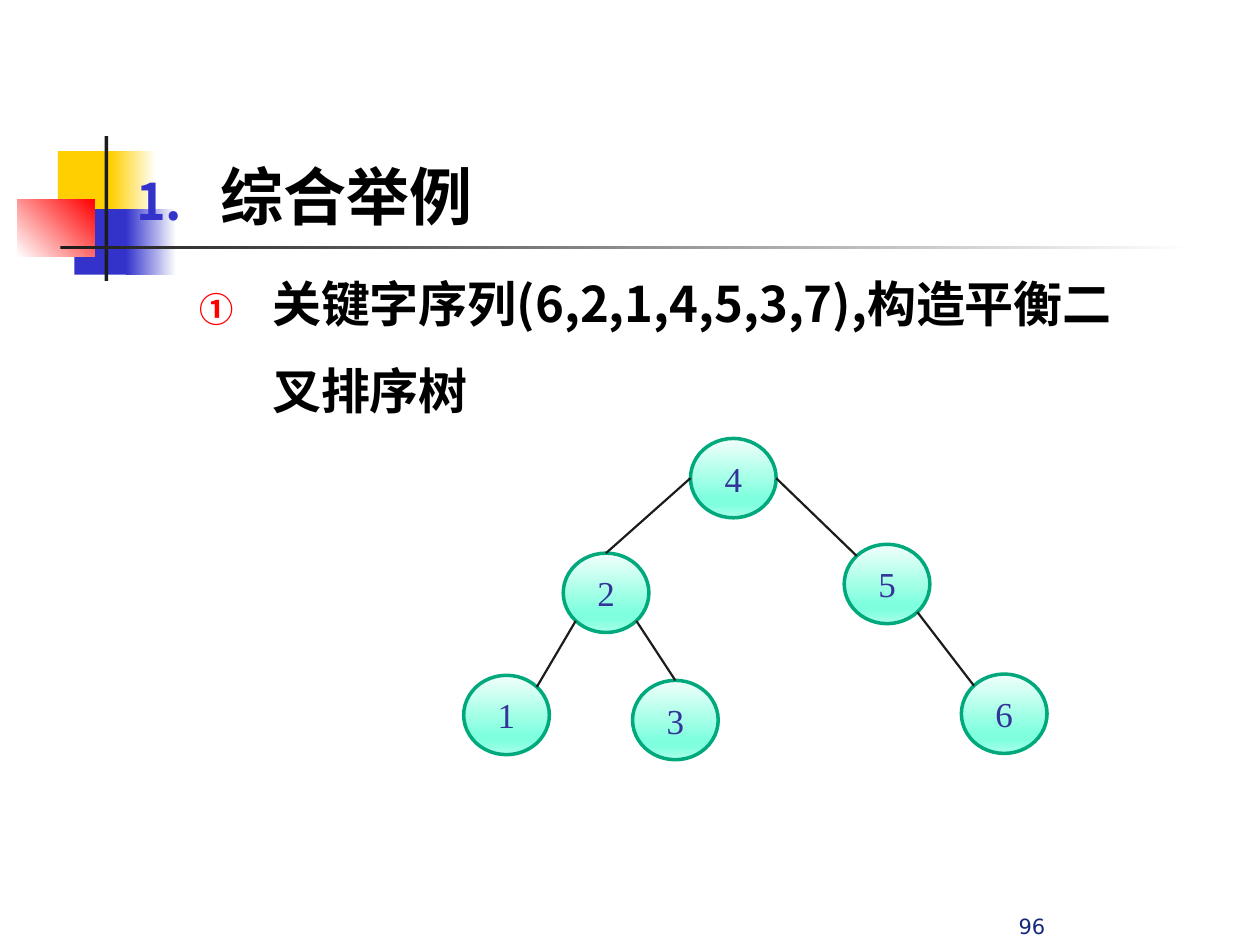
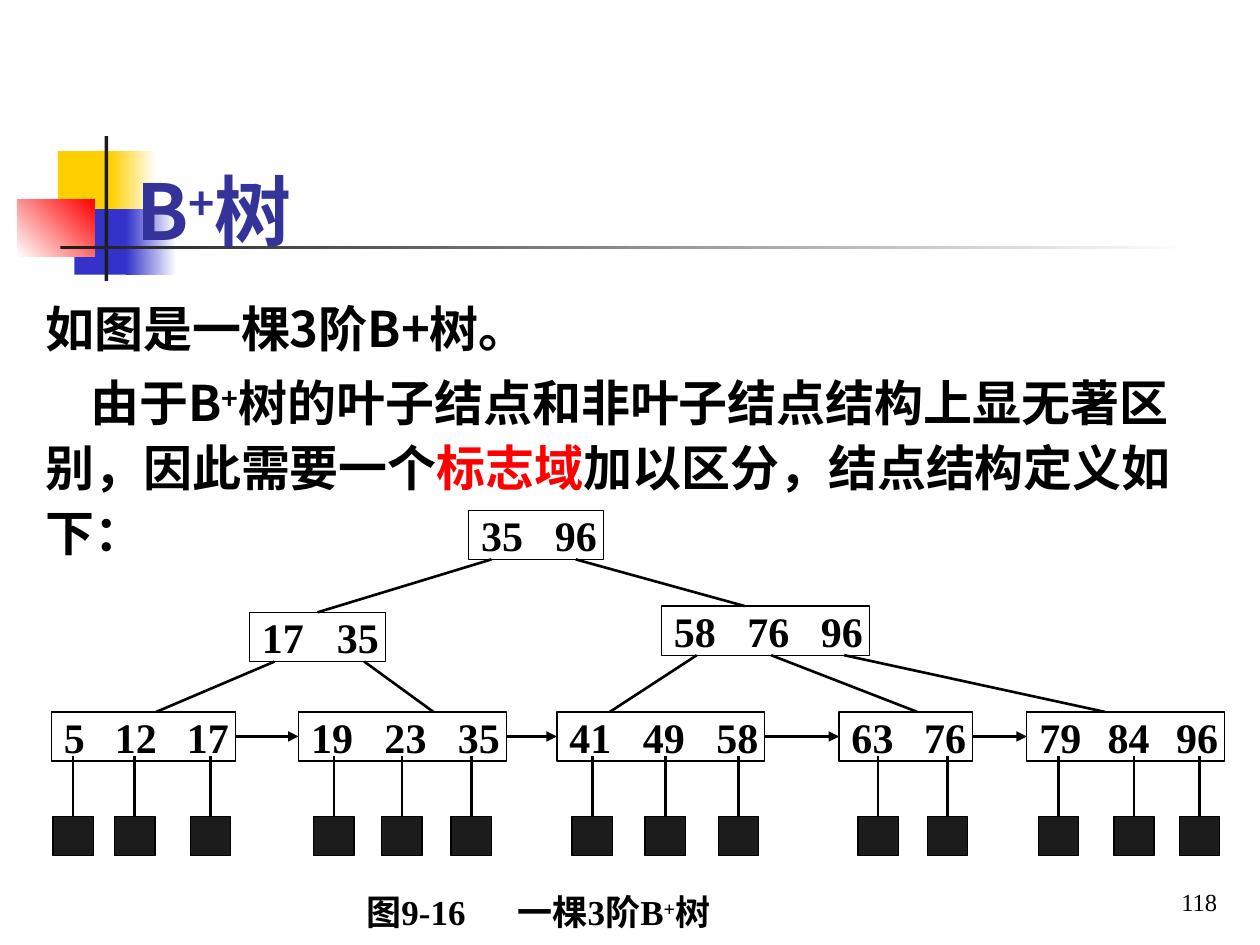
"""Build two lecture slides: a balanced search tree and a B+ tree."""
from dataclasses import dataclass
from math import cos, radians, sin
from typing import Optional

from lxml import etree
from pptx import Presentation
from pptx.dml.color import RGBColor
from pptx.enum.shapes import MSO_CONNECTOR, MSO_SHAPE
from pptx.enum.text import MSO_ANCHOR, MSO_AUTO_SIZE, PP_ALIGN
from pptx.oxml.ns import qn
from pptx.util import Inches, Pt

RECT, OVAL = MSO_SHAPE.RECTANGLE, MSO_SHAPE.OVAL
STRAIGHT = MSO_CONNECTOR.STRAIGHT
TOP, MIDDLE, BOTTOM = MSO_ANCHOR.TOP, MSO_ANCHOR.MIDDLE, MSO_ANCHOR.BOTTOM
LEFT, CENTER, RIGHT = PP_ALIGN.LEFT, PP_ALIGN.CENTER, PP_ALIGN.RIGHT
SIDE_TOP, SIDE_LEFT, SIDE_RIGHT = 0, 1, 3

SLIDE_W, SLIDE_H = Inches(10), Inches(7.5)
COLUMNS, ROWS = 100, 75
CJK, SERIF, SANS = "Noto Sans CJK SC", "Times New Roman", "DejaVu Sans"
BLACK, WHITE, INK, RED = "000000", "FFFFFF", "1C1C1C", "FF0000"
YELLOW, BLUE, INDIGO, NAVY, GREEN = "FFCF01", "3333CC", "333399", "16297A", "00A97C"
MINT = ((0, "F1FFFB"), (74, "80FFDE"), (83, "80FFDE"), (100, "AAFFE9"))


@dataclass(frozen=True)
class Area:
    """A rectangle in grid columns and rows."""
    x: float
    y: float
    w: float
    h: float


@dataclass(frozen=True)
class Style:
    """How a run of text looks."""
    size: float
    font: str = CJK
    color: str = BLACK
    bold: bool = True


@dataclass(frozen=True)
class Part:
    """A run of text that may be raised or recoloured."""
    text: str
    raised: bool = False
    color: Optional[str] = None


@dataclass(frozen=True)
class Band:
    """One block of the shared decoration."""
    area: Area
    stops: tuple
    angle: int = 0


@dataclass(frozen=True)
class KeyNode:
    """A B+ tree node, with the columns of its record pointers."""
    keys: str
    x: float
    y: float
    w: float
    pointers: tuple = ()


@dataclass(frozen=True)
class Branch:
    """A line from parent to child; without end_x it joins the child's top."""
    parent: str
    start_x: float
    child: str
    end_x: Optional[float] = None


BANDS = (
    Band(Area(4.6, 12, 4.8, 5.2), ((0, YELLOW),)),
    Band(Area(8.8, 12, 3.6, 5.2), ((0, YELLOW), (100, WHITE))),
    Band(Area(5.9, 16.6, 4.6, 5.2), ((0, BLUE),)),
    Band(Area(10, 16.6, 4, 5.2), ((0, BLUE), (100, WHITE))),
    Band(Area(1.4, 15.8, 6.1, 4.6), ((0, WHITE), (100, RED)), 315),
    Band(Area(8.3, 10.8, 0.3, 11.5), ((0, INK),)),
    Band(Area(4.8, 19.5, 90, 0.3), ((0, INK), (100, WHITE))),
)

CIRCLE_W, CIRCLE_H = 6.8, 6.3
CIRCLES = {"4": (54.8, 34.8), "2": (44.7, 43.9), "5": (67, 43.2),
           "1": (36.8, 53.6), "3": (50.2, 54), "6": (76.3, 53.5)}
CIRCLE_LINKS = (("4", 180, "2", 270), ("4", 0, "5", 225), ("2", 135, "1", 315),
                ("2", 45, "3", 270), ("5", 45, "6", 225))

NODE_H, LEAF_Y, RECORD_Y, RECORD_W, RECORD_H = 3.9, 56.5, 64.8, 3.2, 3.1
DIGIT_W, NODE_PADDING = 1.67, 1.5
INNER_NODES = (KeyNode("35 96", 37.2, 40.5, 10.7), KeyNode("17 35", 19.8, 48.6, 10.8),
               KeyNode("58 76 96", 52.5, 48.1, 16.5))
LEAVES = (KeyNode("5 12 17", 4.1, LEAF_Y, 14.6, (5.8, 10.7, 16.7)),
          KeyNode("19 23 35", 23.7, LEAF_Y, 16.5, (26.5, 31.9, 37.4)),
          KeyNode("41 49 58", 44.2, LEAF_Y, 16.5, (47, 52.8, 58.6)),
          KeyNode("63 76", 66.6, LEAF_Y, 10.6, (69.7, 75.2)),
          KeyNode("79 84 96", 81.5, LEAF_Y, 15.7, (84, 90, 95.2)))
BRANCHES = (Branch("35 96", 39, "17 35"), Branch("35 96", 45.7, "58 76 96", 59.1),
            Branch("17 35", 21.8, "5 12 17", 12.4), Branch("17 35", 28.9, "19 23 35", 34.4),
            Branch("58 76 96", 55.3, "41 49 58", 48.4),
            Branch("58 76 96", 61.2, "63 76", 72.8), Branch("58 76 96", 67, "79 84 96", 87.7))


def col(n: float) -> int:
    """Return the length of n grid columns."""
    return round(SLIDE_W * n / COLUMNS)


def row(n: float) -> int:
    """Return the length of n grid rows."""
    return round(SLIDE_H * n / ROWS)


def box(area: Area) -> tuple:
    """Return left, top, width and height of an area."""
    return col(area.x), row(area.y), col(area.w), row(area.h)


def sub(parent, tag: str, **attributes):
    """Append a drawing element with attributes."""
    return etree.SubElement(parent, qn("a:" + tag), attributes)


def paint(fill, color: str) -> None:
    """Fill with one solid colour."""
    fill.solid()
    fill.fore_color.rgb = RGBColor.from_string(color)


def add_block(slide, kind, area: Area, stops: tuple = (), angle: int = 0,
              line: Optional[str] = None, width: float = 0.75):
    """Add a shape with no fill, a solid fill or a gradient."""
    shape = slide.shapes.add_shape(kind, *box(area))
    shape.shadow.inherit = False
    shape.fill.background()
    if len(stops) == 1:
        paint(shape.fill, stops[0][1])
    elif stops:
        gradient = etree.Element(qn("a:gradFill"), {"rotWithShape": "1"})
        stop_list = sub(gradient, "gsLst")
        for position, color in stops:
            sub(sub(stop_list, "gs", pos=str(position * 1000)), "srgbClr", val=color)
        sub(gradient, "lin", ang=str(angle * 60000), scaled="0")
        properties = shape.element.spPr
        properties.replace(properties.find(qn("a:noFill")), gradient)
    if line:
        paint(shape.line.fill, line)
        shape.line.width = Pt(width)
    else:
        shape.line.fill.background()
    return shape


def add_line(slide, start: tuple, end: tuple, color: str = BLACK,
             width: float = 1.5, arrow: bool = False):
    """Add a straight connector between two grid points."""
    line = slide.shapes.add_connector(STRAIGHT, col(start[0]), row(start[1]),
                                      col(end[0]), row(end[1]))
    paint(line.line.fill, color)
    line.line.width = Pt(width)
    properties = line.element.spPr
    if arrow:
        sub(properties.find(qn("a:ln")), "tailEnd", type="triangle")
    sub(properties, "effectLst")
    return line


def set_frame(shape, anchor, left: float = 1, top: float = 0.5,
              right: float = 1, bottom: float = 0.5):
    """Set wrapping, anchor and insets, and return the text frame."""
    frame = shape.text_frame
    frame.word_wrap = True
    frame.auto_size = MSO_AUTO_SIZE.NONE
    frame.vertical_anchor = anchor
    frame.margin_left, frame.margin_right = col(left), col(right)
    frame.margin_top, frame.margin_bottom = row(top), row(bottom)
    return frame


def write(paragraph, style: Style, *parts: Part, align=LEFT) -> None:
    """Write runs of text in one style."""
    paragraph.alignment = align
    for part in parts:
        run = paragraph.add_run()
        run.text = part.text
        font = run.font
        font.size, font.bold, font.name = Pt(style.size), style.bold, style.font
        paint(font.fill, part.color or style.color)
        properties = run._r.get_or_add_rPr()
        sub(properties, "ea", typeface=CJK)
        if part.raised:
            properties.set("baseline", "26000")


def set_indent(paragraph, left: float, first: float):
    """Set left margin and first-line indent in columns."""
    properties = paragraph._p.get_or_add_pPr()
    properties.set("marL", str(col(left)))
    properties.set("indent", str(col(first)))
    return properties


def set_number(paragraph, left: float, hang: float, scheme: str,
               color: str, percent: int, font: str) -> None:
    """Give a paragraph an automatic number."""
    properties = set_indent(paragraph, left, -hang)
    sub(sub(properties, "buClr"), "srgbClr", val=color)
    sub(properties, "buSzPct", val=str(percent * 1000))
    sub(properties, "buFont", typeface=font)
    sub(properties, "buAutoNum", type=scheme)


def set_tabs(paragraph, positions: list) -> None:
    """Add left tab stops, given in columns."""
    tabs = sub(paragraph._p.get_or_add_pPr(), "tabLst")
    for position in positions:
        sub(tabs, "tab", pos=str(col(position)), algn="l")


def place(placeholder, area: Area) -> None:
    """Move a placeholder to an area."""
    placeholder.left, placeholder.top, placeholder.width, placeholder.height = box(area)


def add_label(slide, area: Area, anchor, style: Style, *parts: Part,
              align=LEFT, tabs: tuple = ()) -> None:
    """Add a one-line text box."""
    label = slide.shapes.add_textbox(*box(area))
    paragraph = set_frame(label, anchor).paragraphs[0]
    if tabs:
        set_tabs(paragraph, tabs)
    write(paragraph, style, *parts, align=align)


def decorate_master(deck, slide) -> None:
    """Draw the decoration and move it behind the master's placeholders."""
    front = deck.slide_master.placeholders[0].element
    for number, band in enumerate(BANDS, 100):
        block = add_block(slide, RECT, band.area, band.stops, band.angle)
        block.element.nvSpPr.cNvPr.set("id", str(number))
        front.addprevious(block.element)


def rim(key: str, angle: int) -> tuple:
    """Return the point on a circle's rim at a clockwise angle."""
    x, y = CIRCLES[key]
    return (x + CIRCLE_W / 2 * (1 + cos(radians(angle))),
            y + CIRCLE_H / 2 * (1 + sin(radians(angle))))


def build_balanced_tree(slide) -> None:
    """Fill the slide on the balanced search tree."""
    title, body = slide.placeholders
    title.element.getparent().remove(title.element)
    place(body, Area(9.8, 12.3, 85, 45))
    frame = set_frame(body, TOP, right=3)
    heading, task = frame.paragraphs[0], frame.add_paragraph()
    set_number(heading, 6.7, 6.7, "arabicPeriod", BLUE, 80, SANS)
    heading.space_before, heading.line_spacing = Pt(0), Pt(41)
    write(heading, Style(36, SERIF), Part("综合举例"))
    task.level = 1
    set_number(task, 10.8, 5.8, "circleNumDbPlain", RED, 70, CJK)
    task.space_before, task.line_spacing = Pt(7), Pt(49.7)
    write(task, Style(28), Part("关键字序列(6,2,1,4,5,3,7),构造平衡二叉排序树"))
    for key, (x, y) in CIRCLES.items():
        circle = add_block(slide, OVAL, Area(x, y, CIRCLE_W, CIRCLE_H), MINT, 90, GREEN, 2)
        write(set_frame(circle, MIDDLE, 0, 0, 0, 0).paragraphs[0],
              Style(20, SERIF, INDIGO, False), Part(key), align=CENTER)
    for parent, leave, child, arrive in CIRCLE_LINKS:
        add_line(slide, rim(parent, leave), rim(child, arrive), INK, 1.25)
    add_label(slide, Area(63.8, 72.6, 36.2, 2.4), BOTTOM,
              Style(12, SANS, NAVY, False), Part("96"), align=CENTER)


def add_key_node(slide, node: KeyNode):
    """Draw a node with its keys spread evenly over its width."""
    shape = add_block(slide, RECT, Area(node.x, node.y, node.w, NODE_H), line=BLACK)
    keys = node.keys.split()
    widths = [len(key) * DIGIT_W for key in keys]
    gap = (node.w - NODE_PADDING - sum(widths)) / (len(keys) - 1)
    paragraph = set_frame(shape, MIDDLE, right=0).paragraphs[0]
    set_tabs(paragraph, [sum(widths[:i]) + gap * i for i in range(1, len(keys))])
    write(paragraph, Style(24, SERIF), Part("\t".join(keys)))
    return shape


def build_b_plus_tree(slide) -> None:
    """Fill the slide on the B+ tree."""
    title, body = slide.placeholders
    place(title, Area(9.8, 12.8, 49.9, 7.5))
    write(set_frame(title, BOTTOM, bottom=0).paragraphs[0], Style(44, color=INDIGO),
          Part("B"), Part("+", True), Part("树"))
    place(body, Area(2.6, 22.7, 98.5, 27.6))
    frame = set_frame(body, TOP, right=5.5)
    passages = ((0, 0, (Part("如图是一棵3阶B+树。"),)),
                (3.6, 5.6, (Part("由于B"), Part("+", True),
                            Part("树的叶子结点和非叶子结点结构上显无著区别，因此需要一个"),
                            Part("标志域", color=RED),
                            Part("加以区分，结点结构定义如下："))))
    for index, (indent, before, parts) in enumerate(passages):
        paragraph = frame.add_paragraph() if index else frame.paragraphs[0]
        sub(set_indent(paragraph, 0, indent), "buNone")
        paragraph.space_before, paragraph.line_spacing = Pt(before), Pt(37)
        write(paragraph, Style(28), *parts)
    nodes = {node.keys: node for node in INNER_NODES + LEAVES}
    shapes = {keys: add_key_node(slide, node) for keys, node in nodes.items()}
    for branch in BRANCHES:
        child = nodes[branch.child]
        line = add_line(slide, (branch.start_x, nodes[branch.parent].y + NODE_H),
                        (branch.end_x or child.x, child.y))
        if branch.end_x is None:
            line.end_connect(shapes[branch.child], SIDE_TOP)
    for leaf, following in zip(LEAVES, LEAVES[1:]):
        link = add_line(slide, (leaf.x + leaf.w, LEAF_Y), (following.x, LEAF_Y), arrow=True)
        link.begin_connect(shapes[leaf.keys], SIDE_RIGHT)
        link.end_connect(shapes[following.keys], SIDE_LEFT)
    for x in (x for leaf in LEAVES for x in leaf.pointers):
        record = add_block(slide, RECT, Area(x - RECORD_W / 2, RECORD_Y, RECORD_W, RECORD_H),
                           ((0, INK),), line=BLACK)
        add_line(slide, (x, 60), (x, RECORD_Y)).end_connect(record, SIDE_TOP)
    add_label(slide, Area(28.1, 70.4, 33, 3.9), MIDDLE, Style(20, SERIF),
              Part("图9-16\t一棵3阶B"), Part("+", True), Part("树"), tabs=(12,))
    add_label(slide, Area(76.8, 68.2, 20.8, 5), BOTTOM,
              Style(14, SERIF, bold=False), Part("118"), align=RIGHT)


def main() -> None:
    """Build and save the deck."""
    deck = Presentation()
    deck.slide_width, deck.slide_height = SLIDE_W, SLIDE_H
    builders = (build_balanced_tree, build_b_plus_tree)
    slides = [deck.slides.add_slide(deck.slide_layouts[1]) for _ in builders]
    decorate_master(deck, slides[0])
    for build, slide in zip(builders, slides):
        build(slide)
    deck.save("out.pptx")


if __name__ == "__main__":
    main()
